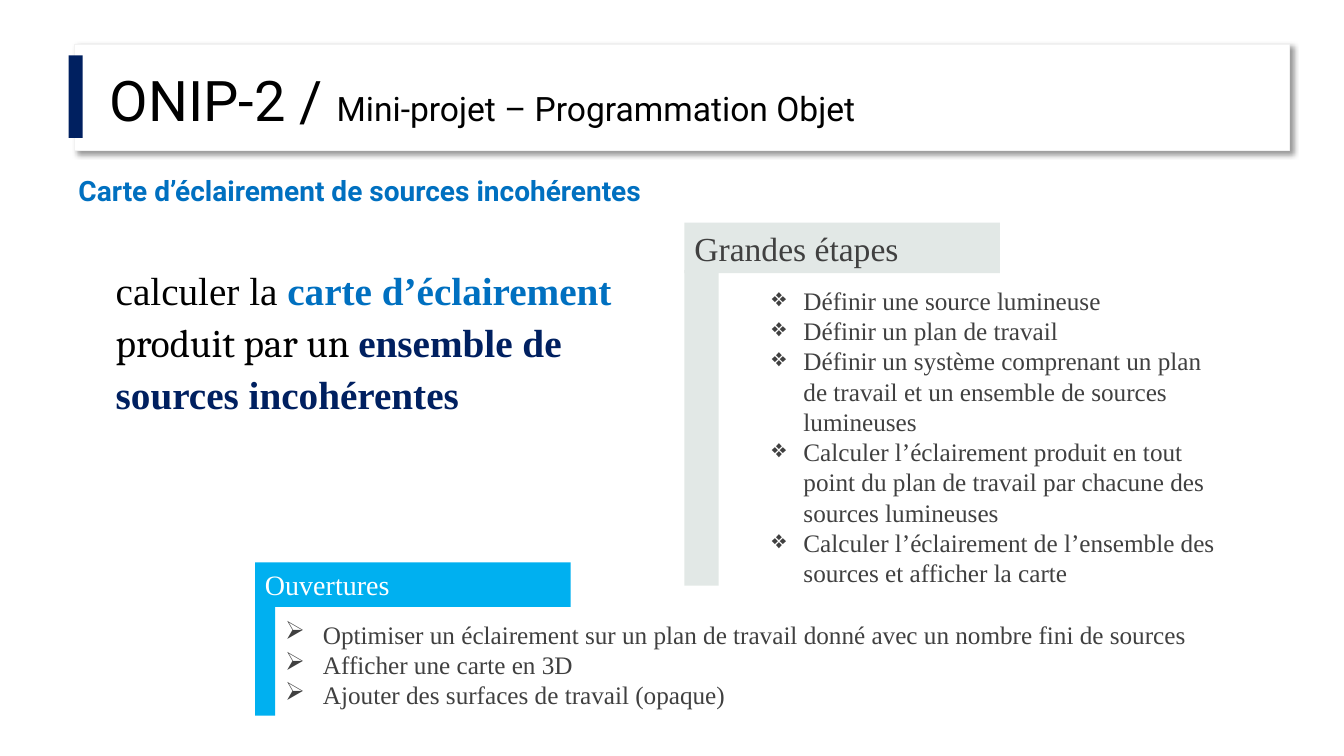
import pptx
import pptx.dml.color
import pptx.enum.shapes
import pptx.enum.text
import pptx.oxml
import pptx.oxml.ns
import pptx.util
from lxml import etree

Pt = pptx.util.Pt
ANCHOR = pptx.enum.text.MSO_ANCHOR
SERIF, SANS = "Times New Roman", "Roboto"
COLORS = {
    "white": "FFFFFF", "black": "000000", "navy": "002060", "blue": "0070C0",
    "sky": "00B0F0", "mist": "E2E8E6", "edge": "F2F2F2", "grey": "404040",
}


def rgb(name):
    return pptx.dml.color.RGBColor.from_string(COLORS[name])


def add_run(paragraph, text, size, color, font=SERIF, bold=False):
    run = paragraph.add_run()
    run.text = text
    run.font.size = Pt(size)
    run.font.name = font
    run.font.bold = bold
    run.font.color.rgb = rgb(color)


def set_frame(frame, anchor=ANCHOR.TOP):
    frame.word_wrap = True
    frame.auto_size = pptx.enum.text.MSO_AUTO_SIZE.NONE
    frame.vertical_anchor = anchor
    paragraph = frame.paragraphs[0]
    paragraph.alignment = pptx.enum.text.PP_ALIGN.LEFT
    return paragraph


def add_block(slide, box, fill):
    """Plain rectangle without outline or shadow."""
    block = slide.shapes.add_shape(
        pptx.enum.shapes.MSO_SHAPE.RECTANGLE, *map(Pt, box))
    block.shadow.inherit = False
    block.fill.solid()
    block.fill.fore_color.rgb = rgb(fill)
    block.line.fill.background()
    return block


def add_banner(slide, box):
    """White title panel with a thin edge and a soft shadow."""
    banner = add_block(slide, box, "white")
    banner.line.color.rgb = rgb("edge")
    banner.line.width = Pt(1)
    effects = banner.element.spPr.find(pptx.oxml.ns.qn("a:effectLst"))
    effects.append(pptx.oxml.parse_xml(
        f'<a:outerShdw {pptx.oxml.ns.nsdecls("a")} blurRad="{Pt(4)}" '
        f'dist="{Pt(3)}" dir="2700000" algn="tl" rotWithShape="0">'
        f'<a:srgbClr val="{COLORS["black"]}"><a:alpha val="40000"/></a:srgbClr>'
        '</a:outerShdw>'))
    return banner


def place_title(slide, banner, box, runs):
    title = slide.shapes.title
    title.left, title.top, title.width, title.height = map(Pt, box)
    banner.element.addnext(title.element)  # in front of the banner
    paragraph = set_frame(title.text_frame, ANCHOR.MIDDLE)
    paragraph.line_spacing = 0.9
    for text, size in runs:
        add_run(paragraph, text, size, "black", SANS)


def add_text(slide, box, runs):
    paragraph = set_frame(slide.shapes.add_textbox(*map(Pt, box)).text_frame)
    paragraph.line_spacing = 1.1
    for run in runs:
        add_run(paragraph, *run)


def add_list(slide, box, bullet, indent, items):
    frame = slide.shapes.add_textbox(*map(Pt, box)).text_frame
    set_frame(frame)
    for index, item in enumerate(items):
        paragraph = frame.add_paragraph() if index else frame.paragraphs[0]
        properties = paragraph._p.get_or_add_pPr()
        properties.set("marL", str(Pt(indent)))
        properties.set("indent", str(-Pt(indent)))
        mark = etree.SubElement(properties, pptx.oxml.ns.qn("a:buChar"))
        mark.set("char", bullet)
        add_run(paragraph, item, 18, "grey")


def add_section(slide, heading_box, bar_box, fill, heading, size, color):
    """Heading tab with a vertical bar under its left end."""
    tab = add_block(slide, heading_box, fill)
    add_run(set_frame(tab.text_frame, ANCHOR.MIDDLE), heading, size, color)
    add_block(slide, bar_box, fill)


def main():
    deck = pptx.Presentation()
    deck.slide_width, deck.slide_height = Pt(960), Pt(540)
    slide = deck.slides.add_slide(deck.slide_layouts[5])

    # Title banner
    banner = add_banner(slide, (53.3, 31.7, 867.6, 75.8))
    place_title(slide, banner, (71.3, 46.1, 706.3, 55.4),
                [("ONIP-2 / ", 40), ("Mini-projet – Programmation Objet", 24)])
    add_block(slide, (49, 39.6, 10, 59), "navy")

    # Topic and goal
    add_text(slide, (49, 118.1, 545, 33.8),
             [("Carte d’éclairement de sources incohérentes", 20, "blue", SANS, True)])
    add_text(slide, (75.6, 183.6, 388.8, 290.9), [
        ("calculer la ", 28, "black"),
        ("carte d’éclairement ", 28, "blue", SERIF, True),
        ("produit par un ", 28, "black", "Cambria"),
        ("ensemble de sources incohérentes", 28, "navy", SERIF, True),
    ])

    # Main steps
    add_section(slide, (488.9, 159.1, 225.4, 36), (488.9, 193, 24.5, 225.4),
                "mist", "Grandes étapes", 24, "grey")
    add_list(slide, (544.3, 200.2, 339.8, 225.4), "❖", 22.5, [
        "Définir une source lumineuse",
        "Définir un plan de travail",
        "Définir un système comprenant un plan de travail et un ensemble "
        "de sources lumineuses",
        "Calculer l’éclairement produit en tout point du plan de travail "
        "par chacune des sources lumineuses",
        "Calculer l’éclairement de l’ensemble des sources et afficher la carte",
    ])

    # Further work
    add_section(slide, (182.2, 401.8, 225.4, 31.7), (182.2, 433.4, 14.4, 77.8),
                "sky", "Ouvertures", 20, "white")
    add_list(slide, (196.6, 438.5, 688.3, 72.7), "➢", 27, [
        "Optimiser un éclairement sur un plan de travail donné avec un nombre "
        "fini de sources",
        "Afficher une carte en 3D",
        "Ajouter des surfaces de travail (opaque)",
    ])

    deck.save("out.pptx")


if __name__ == "__main__":
    main()
